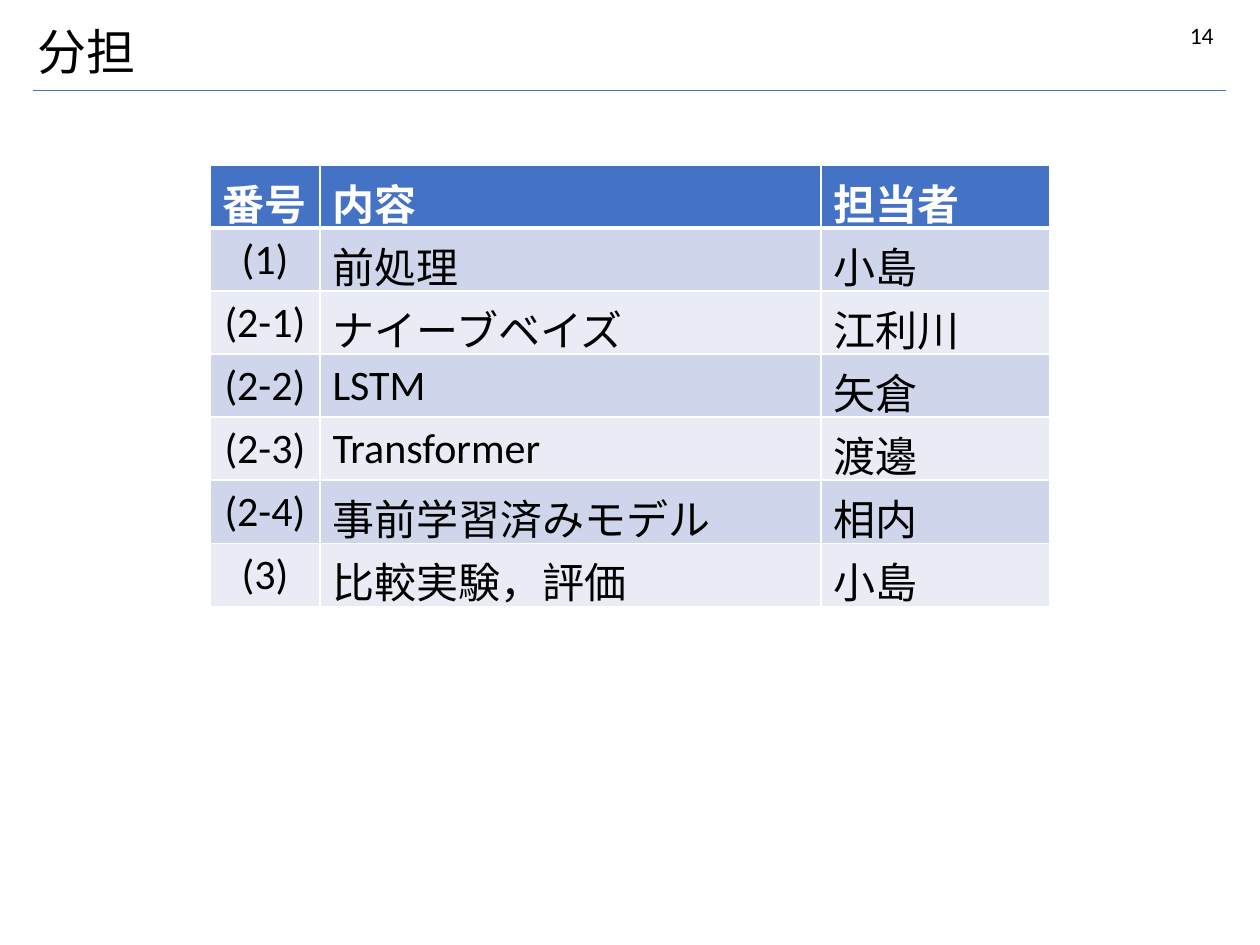
from dataclasses import dataclass

from lxml import etree
from pptx import Presentation
from pptx.dml.color import RGBColor
from pptx.enum.shapes import MSO_CONNECTOR
from pptx.enum.text import MSO_ANCHOR, PP_ALIGN
from pptx.oxml.ns import qn
from pptx.util import Emu, Pt

LEFT, CENTER, RIGHT = PP_ALIGN.LEFT, PP_ALIGN.CENTER, PP_ALIGN.RIGHT
TOP, MIDDLE = MSO_ANCHOR.TOP, MSO_ANCHOR.MIDDLE
STRAIGHT = MSO_CONNECTOR.STRAIGHT
PX = 914400 // 126  # EMU per px


@dataclass(frozen=True)
class Theme:
    font: str = "Calibri"
    black: str = "000000"
    white: str = "FFFFFF"
    accent: str = "4472C4"
    bands: tuple = ("CFD5EA", "E9EBF5")
    title: float = 28
    body: float = 24
    number: float = 13.5


T = Theme()


def write(tf, text, size=T.body, color=T.black, bold=False, align=LEFT, spacing=1.0):
    p = tf.paragraphs[0]
    p.alignment = align
    p.line_spacing = spacing
    r = p.add_run()
    r.text = text
    r.font.name = T.font
    r.font.size = Pt(size)
    r.font.bold = bold
    r.font.color.rgb = RGBColor.from_string(color)


def set_borders(cell, bottom):
    tcPr = cell._tc.get_or_add_tcPr()
    widths = {"a:lnL": 1, "a:lnR": 1, "a:lnT": 1, "a:lnB": bottom}
    for i, (tag, width) in enumerate(widths.items()):
        ln = etree.Element(qn(tag), w=str(Pt(width)))
        fill = etree.SubElement(ln, qn("a:solidFill"))
        etree.SubElement(fill, qn("a:srgbClr"), val=T.white)
        tcPr.insert(i, ln)


prs = Presentation()
prs.slide_width, prs.slide_height = Emu(1260 * PX), Emu(945 * PX)
s = prs.slides.add_slide(prs.slide_layouts[5])

# Rule under the title
rule = s.shapes.add_connector(STRAIGHT, 33 * PX, 90 * PX, 1226 * PX, 90 * PX)
rule.line.color.rgb = RGBColor.from_string(T.accent)
rule.line.width = Pt(0.5)
etree.SubElement(rule._element.spPr, qn("a:effectLst"))

# Slide number
sp = s.shapes.add_textbox(942 * PX, 15 * PX, 284 * PX, 50 * PX)
sp.text_frame.word_wrap = True
sp.text_frame.vertical_anchor = TOP
write(sp.text_frame, "14", size=T.number, align=RIGHT)

# Title
title = s.shapes.title
title.left, title.top, title.width, title.height = 25 * PX, 19 * PX, 978 * PX, 72 * PX
title.text_frame.vertical_anchor = MIDDLE
write(title.text_frame, "分担", size=T.title, spacing=0.9)

# Table of tasks and members
rows = [
    ("番号", "内容", "担当者"),
    ("(1)", "前処理", "小島"),
    ("(2-1)", "ナイーブベイズ", "江利川"),
    ("(2-2)", "LSTM", "矢倉"),
    ("(2-3)", "Transformer", "渡邊"),
    ("(2-4)", "事前学習済みモデル", "相内"),
    ("(3)", "比較実験，評価", "小島"),
]
col_widths = (110, 501, 229)
row_height = 63
table = s.shapes.add_table(
    len(rows), len(col_widths), 210 * PX, 165 * PX,
    sum(col_widths) * PX, len(rows) * row_height * PX,
).table
for col, width in zip(table.columns, col_widths):
    col.width = Emu(width * PX)

for i, row in enumerate(rows):
    header = i == 0
    fill = T.accent if header else T.bands[(i - 1) % 2]
    for j, text in enumerate(row):
        cell = table.cell(i, j)
        cell.fill.solid()
        cell.fill.fore_color.rgb = RGBColor.from_string(fill)
        set_borders(cell, bottom=3 if header else 1)
        write(cell.text_frame, text, bold=header,
              color=T.white if header else T.black,
              align=CENTER if j == 0 and not header else LEFT)

prs.save("out.pptx")
